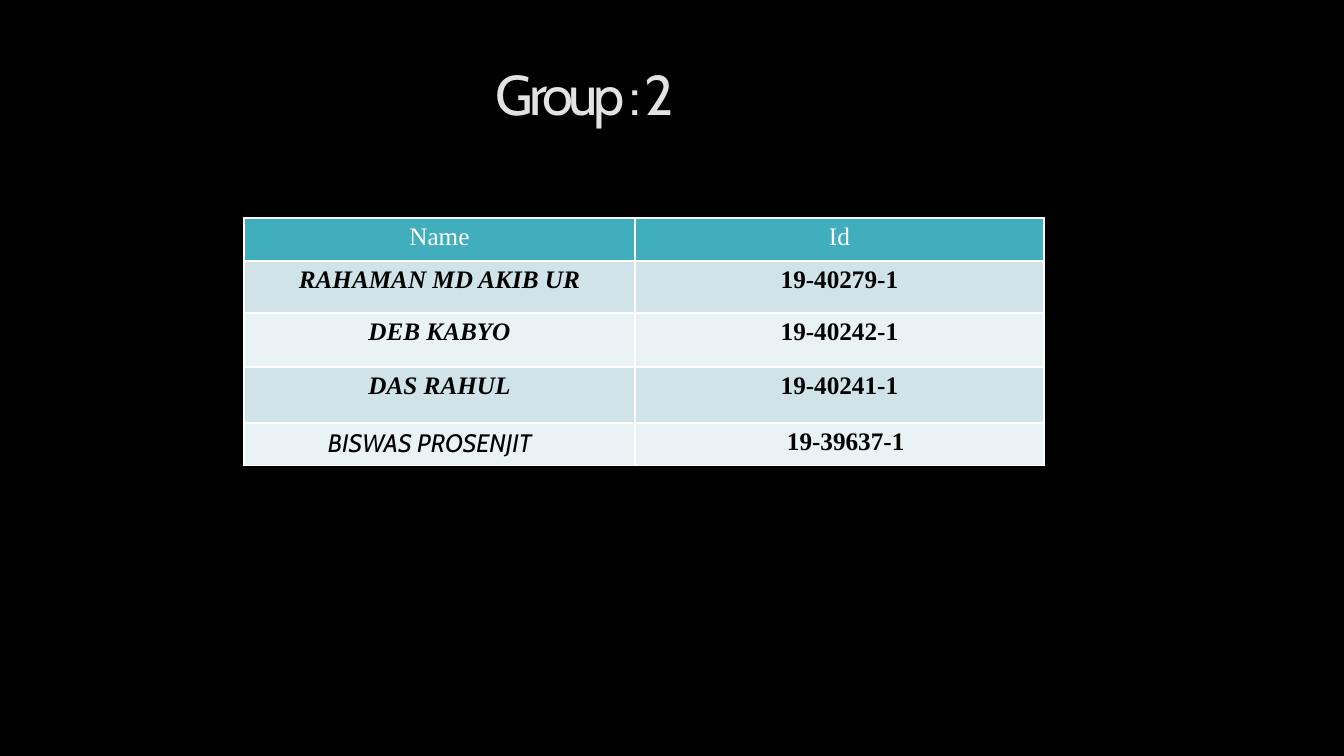
"""Build the group members slide."""
from lxml import etree
from pptx import Presentation
from pptx import util as u
from pptx.dml.color import RGBColor
from pptx.enum import text
from pptx.oxml import ns

BLACK = RGBColor(0, 0, 0)
WHITE = RGBColor(255, 255, 255)
SILVER = RGBColor(0xE3, 0xE3, 0xE3)
TEAL = RGBColor(0x41, 0xAE, 0xBD)
BANDS = RGBColor(0xCF, 0xE3, 0xE8), RGBColor(0xE9, 0xF2, 0xF4)
SERIF, SANS = "Times New Roman", "Cabin"
LEFT, MID = text.PP_ALIGN.LEFT, text.PP_ALIGN.CENTER

COLS = [391, 409]
ROWS = [43, 52, 54, 56, 43]
HEAD = ["Name", "Id"]
TEAM = [
    ("RAHAMAN MD AKIB UR", "19-40279-1"),
    ("DEB KABYO", "19-40242-1"),
    ("DAS RAHUL", "19-40241-1"),
    ("BISWAS PROSENJIT", "19-39637-1"),
]
INDENTS = [84, 152]


def px(n):
    """Turn pixels into EMU."""
    return u.Emu(round(n * 914400 / 100.8))


def apply(item, form):
    """Set attributes from a dict of format values."""
    for key, val in form.items():
        setattr(item, key, val)


def write(frame, words, color, align, form):
    """Put one formatted run in a text frame."""
    para = frame.paragraphs[0]
    para.alignment = align
    run = para.add_run()
    run.text = words
    apply(run.font, form)
    run.font.color.rgb = color
    return para, run


def edge(cell):
    """Draw thin white borders round a cell."""
    props = cell._tc.get_or_add_tcPr()
    for side in "LRTB":
        line = etree.SubElement(props, ns.qn("a:ln" + side), w=str(u.Pt(1)))
        fill = etree.SubElement(line, ns.qn("a:solidFill"))
        etree.SubElement(fill, ns.qn("a:srgbClr"), val=str(WHITE))


def add_title(slide):
    """Fill and place the title."""
    title = slide.shapes.title
    apply(title, dict(left=px(398), top=px(62), width=px(448), height=px(112)))
    frame = title.text_frame
    apply(frame, dict(
        word_wrap=False, auto_size=text.MSO_AUTO_SIZE.NONE,
        vertical_anchor=text.MSO_ANCHOR.TOP, margin_left=px(98),
        margin_top=px(5)))
    form = dict(name=SANS, size=u.Pt(40), bold=False)
    para, run = write(frame, "Group : 2", SILVER, LEFT, form)
    para.line_spacing = 0.9
    run.font._element.set("spc", "-300")


def add_team(slide):
    """Add the table of names and ids."""
    table = slide.shapes.add_table(
        len(ROWS), len(COLS), px(244), px(218),
        px(sum(COLS)), px(sum(ROWS))).table
    for col, width in zip(table.columns, COLS):
        col.width = px(width)
    for row, high in zip(table.rows, ROWS):
        row.height = px(high)
    for r, words in enumerate([HEAD, *TEAM]):
        for c, word in enumerate(words):
            cell = table.cell(r, c)
            last = r == len(TEAM)
            sans = last and c == 0
            form = dict(name=SANS if sans else SERIF, size=u.Pt(18),
                        bold=r > 0 and not sans, italic=r > 0 and c == 0)
            write(cell.text_frame, word, BLACK if r else WHITE,
                  LEFT if last else MID, form)
            if last:
                cell.margin_left = px(INDENTS[c])
            edge(cell)
            cell.fill.solid()
            cell.fill.fore_color.rgb = BANDS[(r - 1) % 2] if r else TEAL


def main():
    """Build and save the slide."""
    deck = Presentation()
    apply(deck, dict(slide_width=px(1344), slide_height=px(756)))
    slide = deck.slides.add_slide(deck.slide_layouts[0])
    back = slide.background.fill
    back.solid()
    back.fore_color.rgb = BLACK
    sub = slide.placeholders[1].element
    sub.getparent().remove(sub)
    add_title(slide)
    add_team(slide)
    deck.save("out.pptx")


if __name__ == "__main__":
    main()
